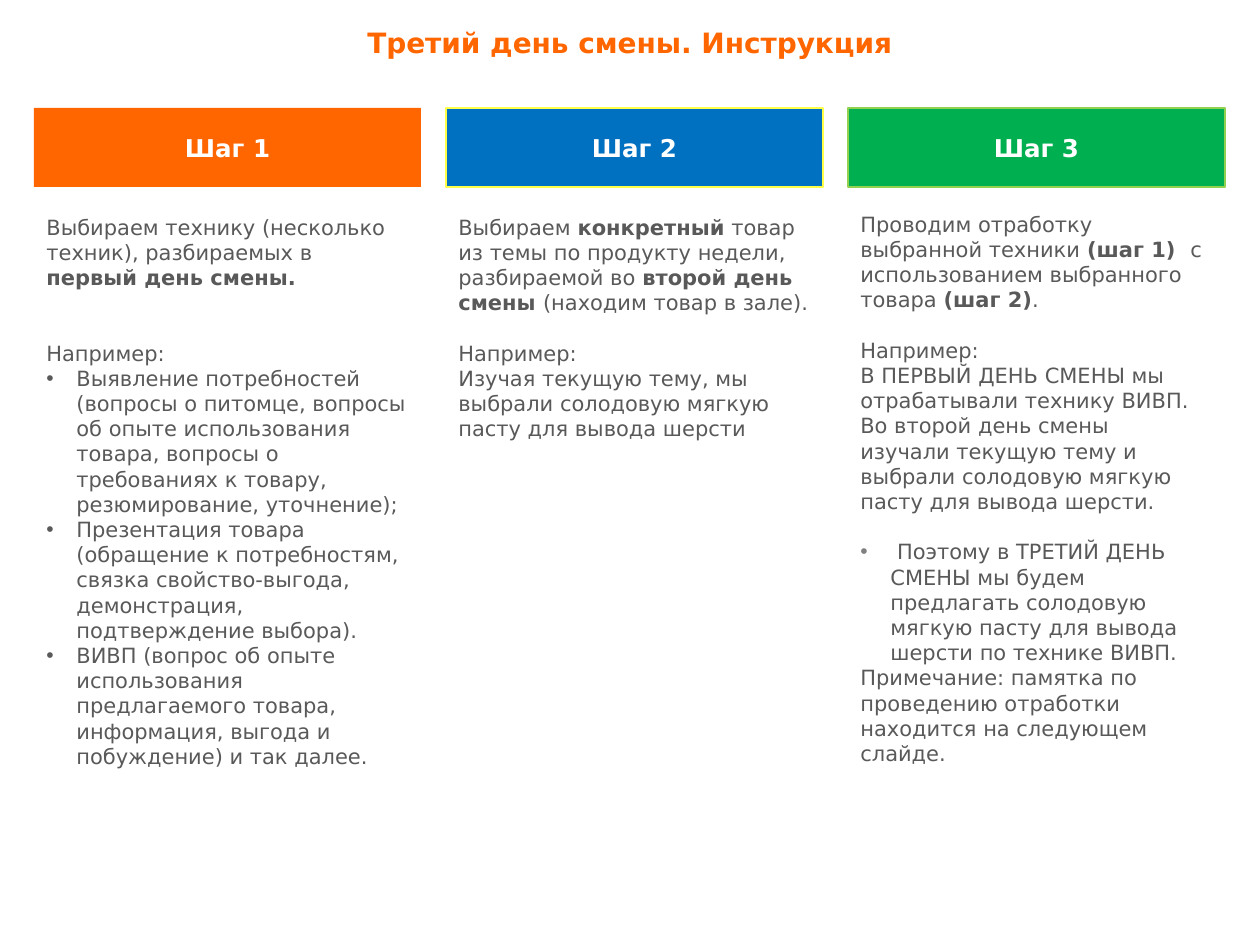
from dataclasses import dataclass

from lxml import etree
from pptx import Presentation
from pptx import util as u
from pptx.dml.color import RGBColor
from pptx.enum import shapes, text
from pptx.oxml.ns import qn

PX = 914400 / 126
FONT = "DejaVu Sans"
ORANGE, WHITE, GREY, LIGHT_GREY = "FF6600", "FFFFFF", "595959", "808080"
BODY_LINE = 14.4
BULLET_INDENT = 30
HEADER_TOP, HEADER_HEIGHT = 108, 79


@dataclass
class Para:
    """Text with bold parts between ** marks; gap is counted in body lines."""
    words: str
    gap: int = 0
    bullet: str = ""


@dataclass
class Step:
    left: int
    width: int
    fill: str
    border: str
    body_top: int
    body_width: int
    body_height: int
    paras: list[Para]


STEPS = [
    Step(34, 387, ORANGE, "", 208, 387, 625, [
        Para("Выбираем технику (несколько техник), разбираемых в **первый день смены.**"),
        Para("Например:", gap=2),
        Para("Выявление потребностей (вопросы о питомце, вопросы об опыте "
             "использования товара, вопросы о требованиях к товару, "
             "резюмирование, уточнение);", bullet=GREY),
        Para("Презентация товара (обращение к потребностям, связка "
             "свойство-выгода, демонстрация, подтверждение выбора).", bullet=GREY),
        Para("ВИВП (вопрос об опыте использования предлагаемого товара, "
             "информация, выгода и побуждение) и так далее.", bullet=GREY),
    ]),
    Step(446, 377, "0070C0", "FFFF47", 208, 377, 377, [
        Para("Выбираем **конкретный** товар из темы по продукту недели, "
             "разбираемой во **второй день смены **(находим товар в зале)."),
        Para("Например:", gap=1),
        Para("Изучая текущую тему, мы выбрали солодовую мягкую пасту для вывода шерсти"),
    ]),
    Step(848, 377, "00B050", "92D050", 205, 367, 625, [
        Para("Проводим отработку выбранной техники **(шаг 1)  **с "
             "использованием выбранного товара **(шаг 2)**."),
        Para("Например:", gap=1),
        Para("В ПЕРВЫЙ ДЕНЬ СМЕНЫ мы отрабатывали технику ВИВП. Во второй день "
             "смены изучали текущую тему и выбрали солодовую мягкую пасту для "
             "вывода шерсти."),
        Para(" Поэтому в ТРЕТИЙ ДЕНЬ СМЕНЫ мы будем предлагать солодовую мягкую "
             "пасту для вывода шерсти по технике ВИВП.", gap=1, bullet=LIGHT_GREY),
        Para("Примечание: памятка по проведению отработки находится на "
             "следующем слайде."),
    ]),
]


def px(length: int) -> int:
    return round(length * PX)


def box(left: int, top: int, width: int, height: int) -> tuple[int, ...]:
    return tuple(px(length) for length in (left, top, width, height))


def rgb(colour: str) -> RGBColor:
    return RGBColor.from_string(colour)


def set_font(font, size: int, colour: str, bold: bool | None = None) -> None:
    font.name, font.size, font.bold = FONT, u.Pt(size), bold
    font.color.rgb = rgb(colour)


def add_bullet(paragraph, colour: str) -> None:
    props = paragraph._p.get_or_add_pPr()
    props.set("marL", str(px(BULLET_INDENT)))
    props.set("indent", str(-px(BULLET_INDENT)))
    bullet_colour = etree.SubElement(props, qn("a:buClr"))
    etree.SubElement(bullet_colour, qn("a:srgbClr"), val=colour)
    etree.SubElement(props, qn("a:buFont"), typeface="Arial")
    etree.SubElement(props, qn("a:buChar"), char="•")


def add_heading(frame, words: str, size: int, colour: str) -> None:
    heading = frame.paragraphs[0]
    heading.text = words
    heading.alignment = text.PP_ALIGN.CENTER
    set_font(heading.font, size, colour, bold=True)


def add_title(slide, words: str) -> None:
    frame = slide.shapes.add_textbox(*box(0, 19, 1260, 47)).text_frame
    frame.word_wrap = True
    frame.auto_size = text.MSO_AUTO_SIZE.SHAPE_TO_FIT_TEXT
    add_heading(frame, words, 16, ORANGE)


def add_header(slide, step: Step, words: str) -> None:
    header = slide.shapes.add_shape(
        shapes.MSO_SHAPE.RECTANGLE,
        *box(step.left, HEADER_TOP, step.width, HEADER_HEIGHT))
    header.shadow.inherit = False
    header.fill.solid()
    header.fill.fore_color.rgb = rgb(step.fill)
    if step.border:
        header.line.color.rgb = rgb(step.border)
        header.line.width = u.Pt(0.75)
    else:
        header.line.fill.background()
    header.text_frame.vertical_anchor = text.MSO_ANCHOR.MIDDLE
    add_heading(header.text_frame, words, 14, WHITE)


def add_body(slide, step: Step) -> None:
    frame = slide.shapes.add_textbox(
        *box(step.left, step.body_top, step.body_width, step.body_height)).text_frame
    frame.word_wrap = True
    for index, para in enumerate(step.paras):
        paragraph = frame.add_paragraph() if index else frame.paragraphs[0]
        if para.gap:
            paragraph.space_before = u.Pt(para.gap * BODY_LINE)
        if para.bullet:
            add_bullet(paragraph, para.bullet)
        set_font(paragraph.font, 12, GREY)
        for part, words in enumerate(para.words.split("**")):
            if words:
                run = paragraph.add_run()
                run.text = words
                if part % 2:
                    run.font.bold = True


def main() -> None:
    deck = Presentation()
    deck.slide_width, deck.slide_height = u.Inches(10), u.Inches(7.5)
    slide = deck.slides.add_slide(deck.slide_layouts[6])
    add_title(slide, "Третий день смены. Инструкция")
    for number, step in enumerate(STEPS, start=1):
        add_header(slide, step, f"Шаг {number}")
        add_body(slide, step)
    deck.save("out.pptx")


if __name__ == "__main__":
    main()
